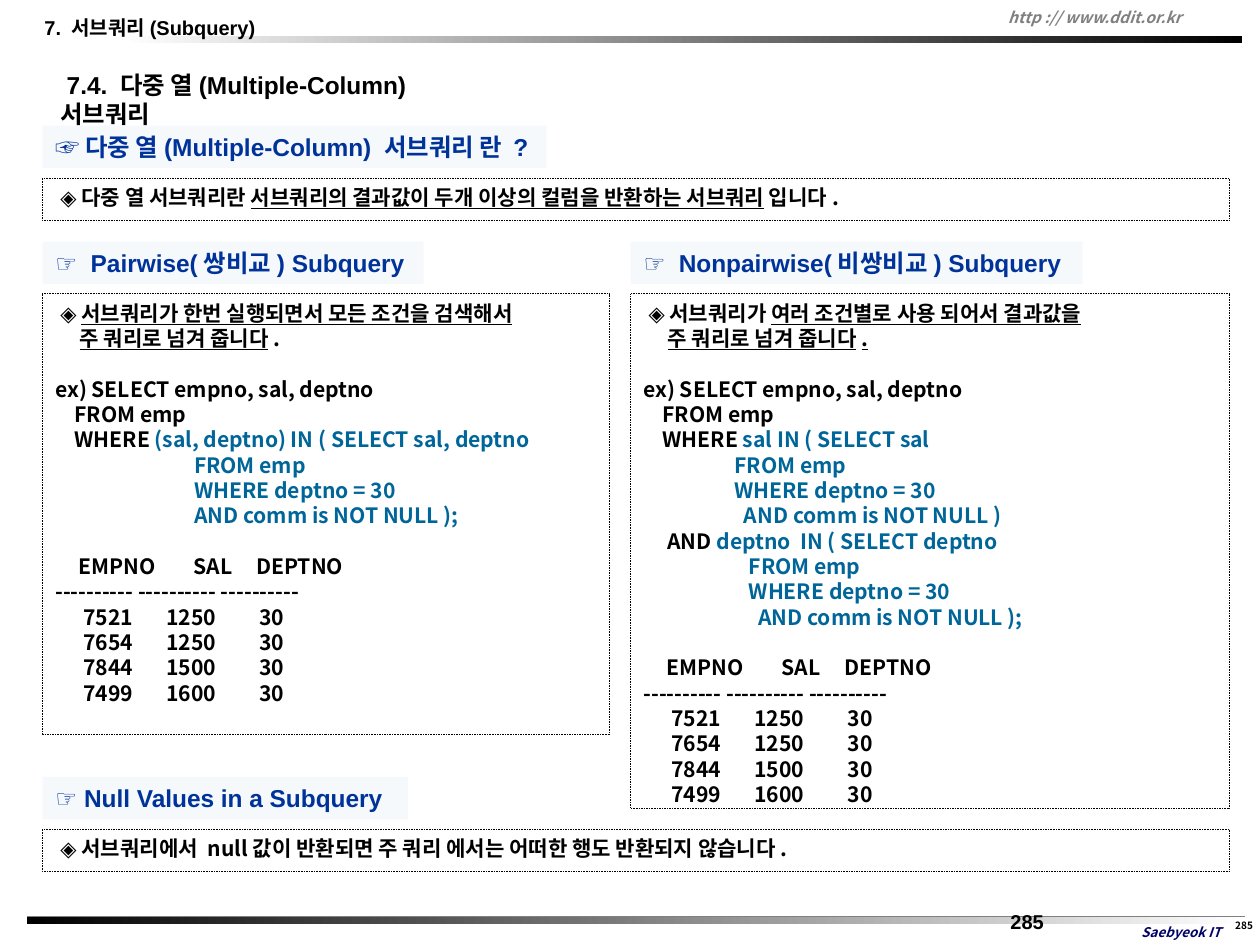
"""Builds the slide about multiple-column subqueries."""
from lxml import etree
from pptx import Presentation
from pptx.dml.color import RGBColor
from pptx.enum.dml import MSO_LINE
from pptx.enum.shapes import MSO_CONNECTOR, MSO_SHAPE
from pptx.enum.text import MSO_ANCHOR, PP_ALIGN
from pptx.oxml.ns import qn
from pptx.util import Cm, Pt

RECTANGLE, STRAIGHT = MSO_SHAPE.RECTANGLE, MSO_CONNECTOR.STRAIGHT
TOP, MIDDLE = MSO_ANCHOR.TOP, MSO_ANCHOR.MIDDLE
LEFT, CENTER = PP_ALIGN.LEFT, PP_ALIGN.CENTER
DOTTED = MSO_LINE.ROUND_DOT
SANS, KOREAN = "Arial", "Noto Sans CJK KR"
COLORS = {"text": "000000", "heading": "003399", "band": "F6F9FC", "query": "006699",
          "gray": "808080", "brand": "000066", "white": "FFFFFF"}

CHAPTER = "7. 서브쿼리(Subquery)"
TITLE = "7.4. 다중 열(Multiple-Column)\n서브쿼리"
SITE, SCHOOL, PAGE = "http :// www.ddit.or.kr", "Saebyeok IT", "285"

MULTI_NOTE = [("◈ 다중 열 서브쿼리란 ", ""),
              ("서브쿼리의 결과값이 두개 이상의 컬럼을 반환하는 서브쿼리", "key"), (" 입니다.", "")]
PAIR_NOTE = [("◈ ", ""), ("서브쿼리가 한번 실행되면서 모든 조건을 검색해서\n", "key"),
             ("주 쿼리로 넘겨 줍니다", "key"), (".", "")]
NONPAIR_NOTE = [("◈ 서브쿼리가 ", ""), ("여러 조건별로 사용 되어서 결과값을\n", "key"),
                ("주 쿼리로 넘겨 줍니다.", "key")]
NULL_NOTE = [("◈ 서브쿼리에서 null값이 반환되면 주 쿼리 에서는 어떠한 행도 반환되지 않습니다.", "")]

MAIN_QUERY = [("ex) SELECT empno, sal, deptno", ""), ("    FROM emp", "")]
PAIR_QUERY = MAIN_QUERY + [
    ("    WHERE ", "(sal, deptno) IN ( SELECT sal, deptno"),
    ("", "                             FROM emp"),
    ("", "                             WHERE deptno = 30"),
    ("", "                             AND comm is NOT NULL );"),
]
NONPAIR_QUERY = MAIN_QUERY + [
    ("    WHERE ", "sal IN ( SELECT sal"),
    ("", "                   FROM emp"),
    ("", "                   WHERE deptno = 30"),
    ("", "                     AND comm is NOT NULL )"),
    ("     AND ", "deptno  IN ( SELECT deptno"),
    ("", "                      FROM emp"),
    ("", "                      WHERE deptno = 30"),
    ("", "                        AND comm is NOT NULL );"),
]
RESULT_HEAD = ("EMPNO", "SAL", "DEPTNO")
RESULT_ROWS = [("7521", "1250", "30"), ("7654", "1250", "30"),
               ("7844", "1500", "30"), ("7499", "1600", "30")]
RESULT_RULE = "---------- ---------- ----------"
HEAD_TABS, ROW_TABS = (0.73, 4.38, 6.38), (0.89, 3.52, 6.48)

LEFT_EDGE, RIGHT_COLUMN, FULL_WIDTH = 1.35, 20.02, 37.67
BAND_HEIGHT, NOTE_OFFSET = 1.35, 1.66
SECTIONS = [
    ("☞ 다중 열(Multiple-Column) 서브쿼리 란 ?", LEFT_EDGE, 3.99, 16, FULL_WIDTH, 1.35,
     MULTI_NOTE, []),
    ("☞\tPairwise(쌍비교) Subquery", LEFT_EDGE, 7.67, 12.1, 18, 14, PAIR_NOTE, PAIR_QUERY),
    ("☞\tNonpairwise(비쌍비교) Subquery", RIGHT_COLUMN, 7.67, 14.35, 19, 16.33,
     NONPAIR_NOTE, NONPAIR_QUERY),
    ("☞ Null Values in a Subquery", LEFT_EDGE, 24.66, 11.6, FULL_WIDTH, 1.35, NULL_NOTE, []),
]

deck = Presentation()
deck.slide_width, deck.slide_height = Cm(40), Cm(30)
slide = deck.slides.add_slide(deck.slide_layouts[6])


def rgb(name):
    return RGBColor.from_string(COLORS[name])


def write(paragraph, text, *, size=19, font=KOREAN, color="text", italic=False,
          underline=False, align=LEFT, margin=0, indent=0, tabs=(), before=0):
    """Adds formatted text, with line breaks at newlines, to a paragraph."""
    paragraph.alignment = align
    paragraph.line_spacing = Pt(round(size * 1.2, 1))
    if before:
        paragraph.space_before = Pt(before)
    properties = paragraph._p.get_or_add_pPr()
    if margin or indent:
        properties.set("marL", str(Cm(margin)))
        properties.set("indent", str(Cm(indent)))
    if tabs:
        stops = etree.SubElement(properties, qn("a:tabLst"))
        for stop in tabs:
            etree.SubElement(stops, qn("a:tab"), pos=str(Cm(stop)), algn="l")
    for number, piece in enumerate(text.split("\n")):
        if number:
            paragraph.add_line_break()
        if piece:
            run = paragraph.add_run()
            run.text = piece
            run.font.size, run.font.name, run.font.bold = Pt(size), font, True
            run.font.italic, run.font.underline = italic, underline
            run.font.color.rgb = rgb(color)
            etree.SubElement(run._r.get_or_add_rPr(), qn("a:ea"), typeface=KOREAN)


def set_frame(shape, inset=(0.41, 0.2), anchor=TOP):
    frame = shape.text_frame
    frame.word_wrap, frame.vertical_anchor = True, anchor
    frame.margin_left, frame.margin_right = Cm(inset[0]), Cm(0)
    frame.margin_top = frame.margin_bottom = Cm(inset[1])
    return frame


def add_label(text, left, top, width, height, *, inset=(0.41, 0.2), anchor=TOP, **style):
    box = slide.shapes.add_textbox(Cm(left), Cm(top), Cm(width), Cm(height))
    write(set_frame(box, inset, anchor).paragraphs[0], text, **style)


def add_rectangle(left, top, width, height):
    shape = slide.shapes.add_shape(RECTANGLE, Cm(left), Cm(top), Cm(width), Cm(height))
    shape.shadow.inherit = False
    shape.line.fill.background()
    return shape


def add_gradient(left, top, width, ends):
    bar = add_rectangle(left, top, width, 0.23)
    bar.fill.gradient()
    bar.fill.gradient_angle = 0
    for stop, name in zip(bar.fill.gradient_stops, ends):
        stop.color.rgb = rgb(name)


def add_section(heading, left, top, heading_width, note_width, note_height, note, query):
    band = add_rectangle(left, top, heading_width, BAND_HEIGHT)
    band.fill.solid()
    band.fill.fore_color.rgb = rgb("band")
    write(set_frame(band).paragraphs[0], heading, size=22, font=SANS, color="heading",
          tabs=(1.12,) if "\t" in heading else ())

    panel = add_rectangle(left, top + NOTE_OFFSET, note_width, note_height)
    panel.fill.background()
    panel.line.color.rgb = rgb("text")
    panel.line.width, panel.line.dash_style = Pt(0.75), DOTTED
    frame = set_frame(panel)
    for text, kind in note:
        write(frame.paragraphs[0], text, underline=kind == "key", margin=0.77, indent=-0.61)
    for number, (outer, inner) in enumerate(query):
        line = frame.add_paragraph()
        write(line, outer, before=0 if number else 22.8)
        write(line, inner, color="query")
    if query:
        write(frame.add_paragraph(), "\t" + "\t".join(RESULT_HEAD), tabs=HEAD_TABS, before=22.8)
        write(frame.add_paragraph(), RESULT_RULE)
        for row in RESULT_ROWS:
            write(frame.add_paragraph(), "\t" + "\t".join(row), tabs=ROW_TABS)


footer_line = slide.shapes.add_connector(STRAIGHT, Cm(0.86), Cm(29.11), Cm(39.52), Cm(29.11))
footer_line.line.color.rgb, footer_line.line.width = rgb("gray"), Pt(1.5)
etree.SubElement(footer_line._element.spPr, qn("a:effectLst"))
add_gradient(0.86, 29.11, 38.66, ("text", "white"))
add_gradient(3.86, 1.14, 35.56, ("white", "text"))

add_label(SCHOOL, 35.08, 29.16, 4.83, 0.84, inset=(0, 0.13), anchor=MIDDLE, size=12,
          color="brand", italic=True, align=CENTER)
add_label(SITE, 31.75, 0.05, 8.15, 0.97, inset=(0.25, 0.13), anchor=MIDDLE, size=14,
          color="gray", italic=True)
add_label(PAGE, 39.14, 29.06, 0.71, 0.79, inset=(0, 0.13), size=9, align=CENTER)
add_label(PAGE, 31.67, 28.68, 8.33, 1.32, size=18, font=SANS)
add_label(CHAPTER, 0.84, 0.28, 9, 1.17, size=18, font=SANS, indent=0.16)
add_label(TITLE, 1.5, 2.01, 15.06, 1.35, size=22, font=SANS, indent=0.21)
for section in SECTIONS:
    add_section(*section)

deck.save("out.pptx")
